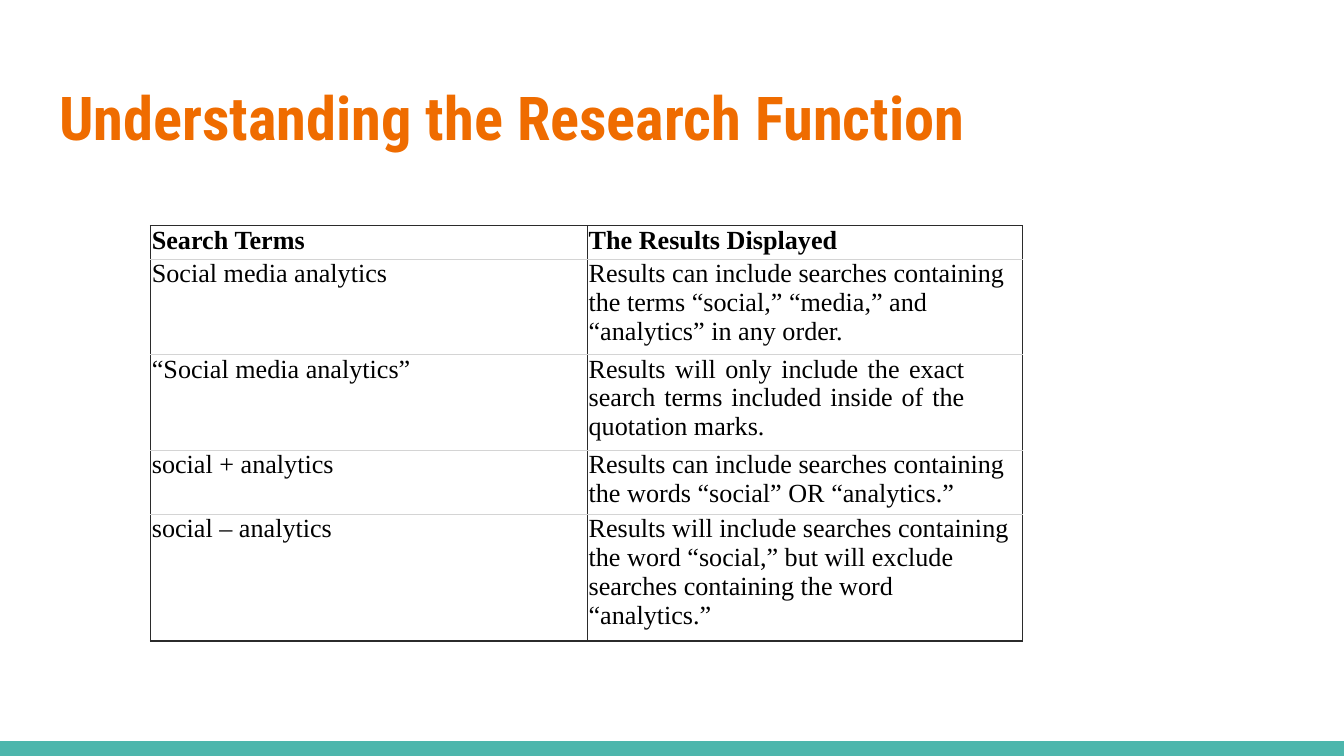
from dataclasses import dataclass

from lxml import etree
from pptx import Presentation
from pptx.dml import color
from pptx.enum import shapes, text
from pptx.oxml import ns
from pptx import util as u

ORANGE = color.RGBColor(0xEF, 0x6C, 0x00)
TEAL = color.RGBColor(0x4D, 0xB6, 0xAC)
BLACK = color.RGBColor(0x00, 0x00, 0x00)
WHITE = color.RGBColor(0xFF, 0xFF, 0xFF)
DARK_RULE = color.RGBColor(0x2B, 0x2B, 0x2B)
LIGHT_RULE = color.RGBColor(0xD4, 0xD4, 0xD4)


@dataclass(frozen=True)
class Search:
    term: str
    result: str
    height: float
    bold: bool = False
    justified: bool = False


SEARCHES = [
    Search("Search Terms", "The Results Displayed", 0.25, bold=True),
    Search("Social media analytics",
           "Results can include searches containing the terms “social,” "
           "“media,” and “analytics” in any order.", 0.71),
    Search("“Social media analytics”",
           "Results will only include the exact search terms included "
           "inside of the quotation marks.", 0.71, justified=True),
    Search("social + analytics",
           "Results can include searches containing the words “social” "
           "OR “analytics.”", 0.48),
    Search("social – analytics",
           "Results will include searches containing the word “social,” "
           "but will exclude searches containing the word “analytics.”", 0.94),
]
COLUMN_WIDTHS = (3.25, 3.24)
SLIDE_WIDTH = 10
SLIDE_HEIGHT = SLIDE_WIDTH * 9 / 16
BAND_HEIGHT = 0.11


def apply(target: object, values: dict) -> None:
    for key, value in values.items():
        setattr(target, key, value)


def style_font(font: object, name: str, size: float, bold: bool,
               tint: color.RGBColor) -> None:
    apply(font, {"name": name, "size": u.Pt(size), "bold": bold})
    font.color.rgb = tint


def add_borders(cell: object, top: color.RGBColor,
                bottom: color.RGBColor) -> None:
    properties = cell._tc.get_or_add_tcPr()
    sides = {"lnL": DARK_RULE, "lnR": DARK_RULE, "lnT": top, "lnB": bottom}
    for side, tint in sides.items():
        line = etree.SubElement(properties, ns.qn(f"a:{side}"),
                                w=str(u.Pt(0.75)))
        fill = etree.SubElement(line, ns.qn("a:solidFill"))
        etree.SubElement(fill, ns.qn("a:srgbClr"), val=str(tint))


def fill_cell(cell: object, wording: str, search: Search,
              is_result: bool) -> None:
    apply(cell, {f"margin_{side}": 0
                 for side in ("left", "right", "top", "bottom")})
    cell.text = wording
    paragraph = cell.text_frame.paragraphs[0]
    justified = is_result and search.justified
    apply(paragraph, {
        "alignment": text.PP_ALIGN.JUSTIFY if justified else text.PP_ALIGN.LEFT,
        "space_before": u.Pt(0.2 if is_result and not search.bold else 0.6),
    })
    indent = paragraph._p.get_or_add_pPr()
    indent.set("marL", str(u.Inches(0.01)))
    indent.set("marR", str(u.Inches(0.43 if justified else 0.06)))
    style_font(paragraph.runs[0].font, "Times New Roman", 14, search.bold, BLACK)


def add_searches(slide: object) -> None:
    table = slide.shapes.add_table(
        len(SEARCHES), len(COLUMN_WIDTHS), u.Inches(1.12), u.Inches(1.68),
        u.Inches(sum(COLUMN_WIDTHS)),
        u.Inches(sum(search.height for search in SEARCHES))).table
    apply(table, {"first_row": False, "horz_banding": False})
    for column, width in zip(table.columns, COLUMN_WIDTHS):
        column.width = u.Inches(width)
    last = len(SEARCHES) - 1
    for index, search in enumerate(SEARCHES):
        table.rows[index].height = u.Inches(search.height)
        for position, wording in enumerate((search.term, search.result)):
            cell = table.cell(index, position)
            fill_cell(cell, wording, search, position == 1)
            add_borders(cell, DARK_RULE if index == 0 else LIGHT_RULE,
                        DARK_RULE if index == last else LIGHT_RULE)
            cell.fill.solid()
            cell.fill.fore_color.rgb = WHITE


def add_footer_band(slide: object) -> None:
    band = slide.shapes.add_shape(
        shapes.MSO_SHAPE.RECTANGLE, 0, u.Inches(SLIDE_HEIGHT - BAND_HEIGHT),
        u.Inches(SLIDE_WIDTH), u.Inches(BAND_HEIGHT))
    band.shadow.inherit = False
    band.fill.solid()
    band.fill.fore_color.rgb = TEAL
    band.line.fill.background()


def add_heading(slide: object) -> None:
    heading = slide.shapes.title
    apply(heading, {"left": u.Inches(0.34), "top": u.Inches(0.48),
                    "width": u.Inches(9.32), "height": u.Inches(0.77)})
    frame = heading.text_frame
    frame.text = "Understanding the Research Function"
    apply(frame, {f"margin_{side}": u.Inches(0.1)
                  for side in ("left", "right", "top", "bottom")})
    apply(frame, {"word_wrap": True, "auto_size": text.MSO_AUTO_SIZE.NONE,
                  "vertical_anchor": text.MSO_ANCHOR.MIDDLE})
    paragraph = frame.paragraphs[0]
    paragraph.alignment = text.PP_ALIGN.LEFT
    style_font(paragraph.runs[0].font, "Roboto Condensed", 32.4, True, ORANGE)


deck = Presentation()
apply(deck, {"slide_width": u.Inches(SLIDE_WIDTH),
             "slide_height": u.Inches(SLIDE_HEIGHT)})
research = deck.slides.add_slide(deck.slide_layouts.get_by_name("Title Only"))
add_footer_band(research)
add_heading(research)
add_searches(research)
deck.save("out.pptx")
